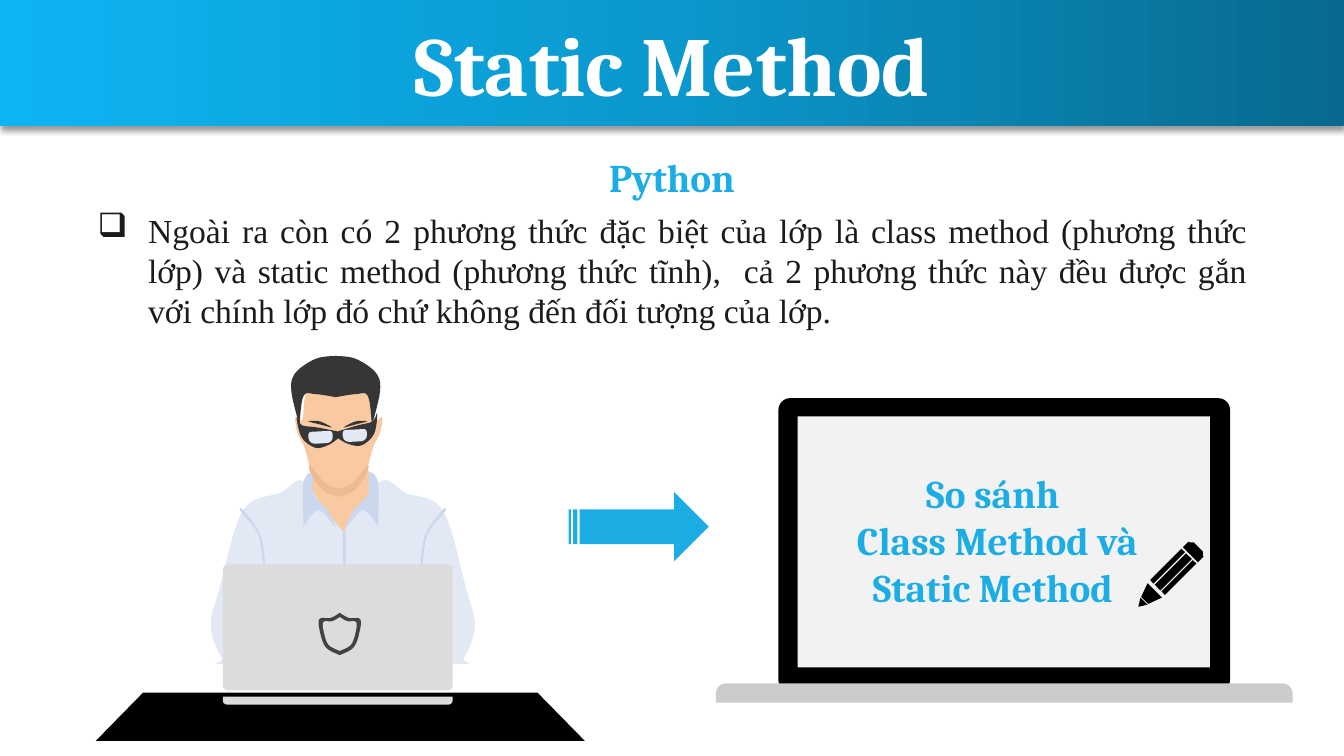
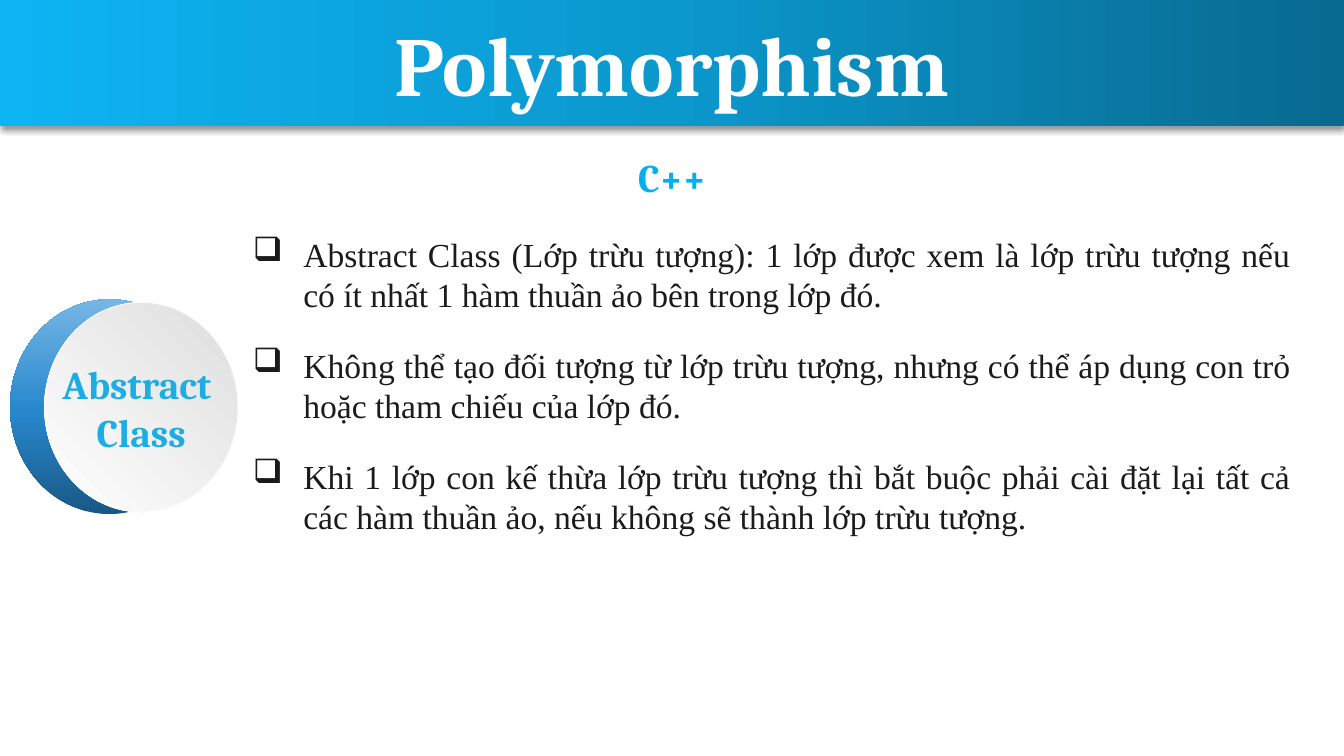
import math

import lxml.etree
import pptx
import pptx.dml.color
import pptx.enum.shapes
import pptx.enum.text
import pptx.oxml.ns
import pptx.util

Inches = pptx.util.Inches
Preset = pptx.enum.shapes.MSO_SHAPE
Align = pptx.enum.text.PP_ALIGN
qn = pptx.oxml.ns.qn


def rgb(value):
    return pptx.dml.color.RGBColor.from_string(value)


def add_xml(parent, tag, **attributes):
    """Append a DrawingML element and return it."""
    child = lxml.etree.SubElement(parent, qn(tag))
    for key, value in attributes.items():
        child.set(key, str(value))
    return child


def smooth_closed(corners, steps=6):
    """Points of a closed Catmull-Rom curve; a repeated corner stays sharp."""
    curve = []
    count = len(corners)
    for i, start in enumerate(corners):
        before, end, after = corners[i - 1], corners[(i + 1) % count], corners[(i + 2) % count]
        if start == end:
            continue
        for step in range(steps):
            t = step / steps
            curve.append(tuple(
                0.5 * (2 * b + (c - a) * t + (2 * a - 5 * b + 4 * c - d) * t ** 2
                       + (3 * b - a - 3 * c + d) * t ** 3)
                for a, b, c, d in zip(before, start, end, after)))
    return curve


def one_side(axis, half, side):
    """Place (offset from axis, y) points to the right (1) or left (-1) of the axis."""
    return [(axis + side * offset, y) for offset, y in half]


def mirrored(axis, half):
    """Close a half outline with its reflection in the vertical axis."""
    return one_side(axis, half, 1) + one_side(axis, half, -1)[::-1]


def scaled(points, center, factor):
    return [tuple(c + (p - c) * factor for p, c in zip(point, center)) for point in points]


def turned(points, origin, degrees):
    """Map (along, across) points to a frame turned counterclockwise at the origin."""
    cos, sin = math.cos(math.radians(degrees)), math.sin(math.radians(degrees))
    return [(origin[0] + along * cos + across * sin, origin[1] - along * sin + across * cos)
            for along, across in points]


class Deck:
    HEADING, BODY = "Cambria", "Times New Roman"
    ACCENT, INK, WHITE, BLACK = "1CADE4", "1B1B1B", "FFFFFF", "000000"
    BAND = [(0, "086A90"), (50, "0B98CD"), (100, "0DB4F3")]
    HAIR, SKIN, SKIN_SHADE = "363636", "F9C9A2", "EABB95"
    SHIRT, COLLAR = "E3E9F4", "CBD7EC"
    METAL, BASE, SCREEN, BADGE = "DCDCDC", "CCCCCC", "F2F2F2", "424242"

    def __init__(self):
        self.show = pptx.Presentation()
        self.show.slide_width, self.show.slide_height = Inches(13.33), Inches(7.5)
        self.slide = None

    def start(self, title, subtitle, subtitle_color):
        self.slide = self.show.slides.add_slide(self.show.slide_layouts[6])
        band = self.shape(Preset.RECTANGLE, 0, 0, 13.33, 1.25)
        self.gradient(band, self.BAND, 180)
        self.cast_shadow(band)
        self.text(title, 0, 0.07, 13.33, 1.11, size=60, color=self.WHITE)
        self.text(subtitle, 4.31, 1.47, 4.71, 0.57, color=subtitle_color)

    def finish(self, shape, color, line=None):
        shape.shadow.inherit = False
        shape.fill.solid()
        shape.fill.fore_color.rgb = rgb(color)
        if line:
            shape.line.color.rgb = rgb(line)
            shape.line.width = pptx.util.Pt(0.5)
        else:
            shape.line.fill.background()
        return shape

    def shape(self, preset, x, y, w, h, color=WHITE, line=None, adjust=()):
        shape = self.slide.shapes.add_shape(preset, Inches(x), Inches(y), Inches(w), Inches(h))
        for i, amount in enumerate(adjust):
            shape.adjustments[i] = amount
        return self.finish(shape, color, line)

    def gradient(self, shape, stops, angle):
        shape.fill.gradient()
        fill = shape._element.spPr.find(qn("a:gradFill"))
        for child in list(fill):
            fill.remove(child)
        stop_list = add_xml(fill, "a:gsLst")
        for position, color in stops:
            stop = add_xml(stop_list, "a:gs", pos=position * 1000)
            add_xml(stop, "a:srgbClr", val=color)
        add_xml(fill, "a:lin", ang=angle * 60000, scaled=0)

    def cast_shadow(self, shape):
        effects = shape._element.spPr.find(qn("a:effectLst"))
        shadow = add_xml(effects, "a:outerShdw", blurRad=pptx.util.Pt(4), dist=pptx.util.Pt(3),
                         dir=90 * 60000, algn="t", rotWithShape=0)
        color = add_xml(shadow, "a:srgbClr", val=self.BLACK)
        add_xml(color, "a:alpha", val=40000)

    def outline(self, color, points, smooth=True):
        """Draw one closed freeform through points given in inches."""
        if smooth:
            points = smooth_closed(points)
        first, *rest = [(Inches(x), Inches(y)) for x, y in points]
        builder = self.slide.shapes.build_freeform(*first)
        builder.add_line_segments(rest, close=True)
        return self.finish(builder.convert_to_shape(), color)

    def pair(self, color, axis, half):
        """Draw a part on both sides of the axis."""
        for side in (-1, 1):
            self.outline(color, one_side(axis, half, side))

    def text(self, text, x, y, w, h, size=28, color=ACCENT, font=HEADING, bold=True,
             align=Align.CENTER, bullet=None):
        box = self.slide.shapes.add_textbox(Inches(x), Inches(y), Inches(w), Inches(h))
        frame = box.text_frame
        frame.word_wrap = True
        frame.text = text
        for paragraph in frame.paragraphs:
            paragraph.alignment = align
            style = paragraph.runs[0].font
            style.name, style.size, style.bold = font, pptx.util.Pt(size), bold
            style.color.rgb = rgb(color)
            if bullet:
                props = paragraph._p.get_or_add_pPr()
                props.set("marL", str(Inches(0.5)))
                props.set("indent", str(-Inches(0.5)))
                add_xml(props, "a:buChar", char=bullet)

    def bullet(self, text, x, y, w, h):
        self.text(text, x, y, w, h, size=24, color=self.INK, font=self.BODY, bold=False,
                  align=Align.JUSTIFY, bullet="❑")

    def programmer(self):
        self.shape(Preset.TRAPEZOID, 0.95, 6.87, 4.85, 0.48, self.BLACK, adjust=[0.98])
        self.shirt(axis=3.4)
        self.head(axis=3.36)
        self.glasses(axis=3.35)
        self.shape(Preset.ROUNDED_RECTANGLE, 2.21, 5.6, 2.28, 1.25, self.METAL, adjust=[0.04])
        self.shape(Preset.ROUND_2_SAME_RECTANGLE, 2.21, 6.91, 2.28, 0.08, self.METAL,
                   adjust=[0, 0.5])
        self.shield(axis=3.37)

    def shirt(self, axis):
        body = [(0, 5.27), (0.37, 4.78), (0.62, 4.89), (0.99, 5.06), (1.22, 5.83),
                (1.31, 6.21), (1.2, 6.53), (1.07, 6.59)]
        sleeve_fold = [(0.99, 5.06), (0.82, 5.3), (0.77, 5.6), (0.79, 5.6), (0.84, 5.3),
                       (1.01, 5.08)]
        neck = [(0, 4.5), (0.28, 4.7), (0.28, 4.9), (0, 5.27)]
        collar = [(0.28, 4.69), (0.37, 4.79), (0.37, 5.22), (0.37, 5.22), (0.22, 5.06),
                  (0.05, 5.23), (0.13, 5.06), (0.27, 4.9)]
        self.outline(self.SHIRT, mirrored(axis, body))
        self.pair(self.COLLAR, axis, sleeve_fold)
        self.shape(Preset.RECTANGLE, axis, 5.25, 0.03, 0.35, self.COLLAR)
        self.outline(self.SKIN, mirrored(axis, neck))
        self.pair(self.COLLAR, axis - 0.02, collar)

    def head(self, axis):
        face = [(0, 3.8), (0.3, 3.85), (0.36, 4.16), (0.43, 4.14), (0.41, 4.29),
                (0.34, 4.44), (0.26, 4.7), (0.12, 4.85), (0, 4.87)]
        chin_shade = [(0, 4.85), (0.14, 4.79), (0.28, 4.62), (0.28, 4.69), (0.16, 4.86),
                      (0, 4.93)]
        hair = [(0, 3.53), (0.2, 3.56), (0.4, 3.7), (0.44, 3.88), (0.36, 4.22),
                (0.36, 4.22), (0.32, 3.93), (0.2, 3.91), (0, 3.94)]
        self.outline(self.SKIN, mirrored(axis, face))
        self.outline(self.SKIN_SHADE, mirrored(axis, chin_shade))
        self.outline(self.HAIR, mirrored(axis - 0.03, hair))

    def glasses(self, axis):
        frame = [(0, 4.28), (0.2, 4.23), (0.35, 4.2), (0.4, 4.12), (0.36, 4.32),
                 (0.23, 4.43), (0.1, 4.41), (0, 4.35)]
        brow = [(0.06, 4.24), (0.18, 4.18), (0.29, 4.18), (0.18, 4.21)]
        tilt, lens_w, lens_h = -3, 0.24, 0.12
        self.outline(self.HAIR, mirrored(axis, frame)).rotation = tilt
        for side in (-1, 1):
            lens_y = 4.33 + side * 0.17 * math.sin(math.radians(tilt))
            lens = self.shape(Preset.ROUND_2_SAME_RECTANGLE, axis + side * 0.17 - lens_w / 2,
                              lens_y - lens_h / 2, lens_w, lens_h, self.SHIRT,
                              adjust=[0.25, 0.5])
            lens.rotation = tilt
        self.pair(self.HAIR, axis, brow)

    def shield(self, axis):
        half = [(0, 6.08), (0.09, 6.13), (0.2, 6.14), (0.2, 6.25), (0.14, 6.42), (0, 6.5)]
        edge = mirrored(axis, half)
        for color, factor in ((self.BADGE, 1), (self.METAL, 0.8)):
            self.outline(color, scaled(edge, (axis, 6.29), factor))

    def laptop(self, message):
        self.shape(Preset.ROUNDED_RECTANGLE, 7.72, 3.95, 4.48, 2.91, self.BLACK, adjust=[0.04])
        self.shape(Preset.RECTANGLE, 7.91, 4.13, 4.09, 2.49, self.SCREEN)
        self.shape(Preset.ROUND_2_SAME_RECTANGLE, 7.1, 6.78, 5.72, 0.19, self.BASE,
                   adjust=[0.5, 0])
        self.text(message, 7.83, 4.61, 4.12, 1.51)

    def pencil(self, tip=(11.29, 6.02), angle=45):
        """Tip, wood, three stripes and eraser: (start, end, widths there, middle)."""
        parts = [
            (0, 0.08, 0, 0.1, 0),
            (0.09, 0.23, 0.1, 0.2, 0),
            (0.27, 0.71, 0.05, 0.05, -0.08),
            (0.27, 0.71, 0.08, 0.08, 0),
            (0.27, 0.71, 0.05, 0.05, 0.08),
            (0.73, 0.81, 0.21, 0.21, 0),
            (0.8, 0.84, 0.21, 0.13, 0),
        ]
        for start, end, start_width, end_width, middle in parts:
            corners = [(start, middle - start_width / 2), (end, middle - end_width / 2),
                       (end, middle + end_width / 2), (start, middle + start_width / 2)]
            self.outline(self.BLACK, turned(corners, tip, angle), smooth=False)

    def crescent_badge(self, label):
        crescent = self.shape(Preset.OVAL, 0.1, 2.97, 1.97, 2.13)
        self.gradient(crescent, [(0, "195885"), (48, "2788CD"), (100, "75B6E5")], 270)
        disc = self.shape(Preset.OVAL, 0.44, 3, 1.92, 2.08, line=self.WHITE)
        self.gradient(disc, [(0, "DEDEDE"), (100, self.WHITE)], 135)
        self.text(label, 0.44, 3.53, 1.92, 1.04)


def main():
    deck = Deck()

    deck.start("Static Method", "Python", deck.ACCENT)
    deck.bullet("Ngoài ra còn có 2 phương thức đặc biệt của lớp là class method (phương thức lớp) "
                "và static method (phương thức tĩnh),  cả 2 phương thức này đều được gắn với "
                "chính lớp đó chứ không đến đối tượng của lớp.", 0.87, 2.03, 11.6, 1.31)
    deck.programmer()
    deck.laptop("So sánh \nClass Method và\nStatic Method ")
    deck.pencil()
    deck.shape(Preset.STRIPED_RIGHT_ARROW, 5.64, 4.88, 1.39, 0.69, deck.ACCENT)

    deck.start("Polymorphism", "C++", "00B0F0")
    deck.crescent_badge("Abstract \nClass")
    rules = [
        "Abstract Class (Lớp trừu tượng): 1 lớp được xem là lớp trừu tượng nếu có ít nhất "
        "1 hàm thuần ảo bên trong lớp đó.",
        "Không thể tạo đối tượng từ lớp trừu tượng, nhưng có thể áp dụng con trỏ hoặc "
        "tham chiếu của lớp đó.",
        "Khi 1 lớp con kế thừa lớp trừu tượng thì bắt buộc phải cài đặt lại tất cả các hàm "
        "thuần ảo, nếu không sẽ thành lớp trừu tượng.",
    ]
    for i, rule in enumerate(rules):
        deck.bullet(rule, 2.41, 2.27 + 1.1 * i, 10.49, 0.91)

    deck.show.save("out.pptx")


if __name__ == "__main__":
    main()
